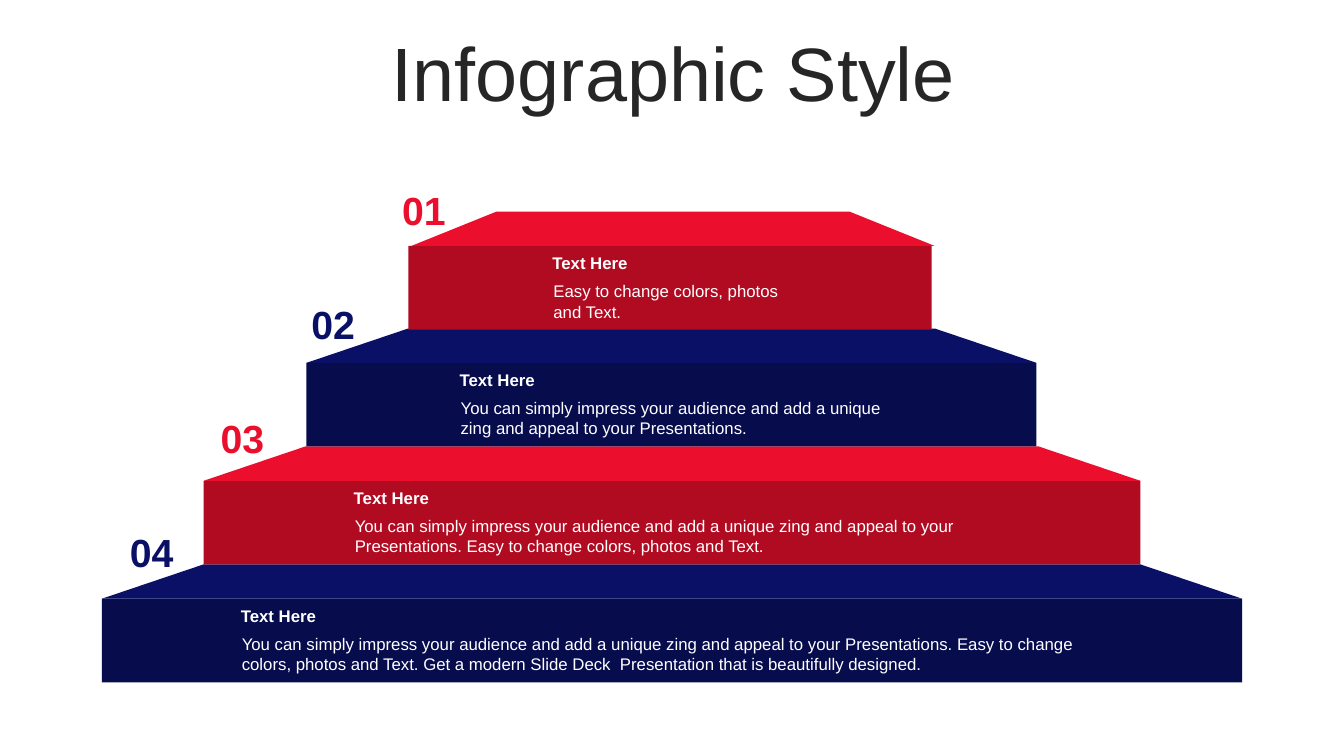
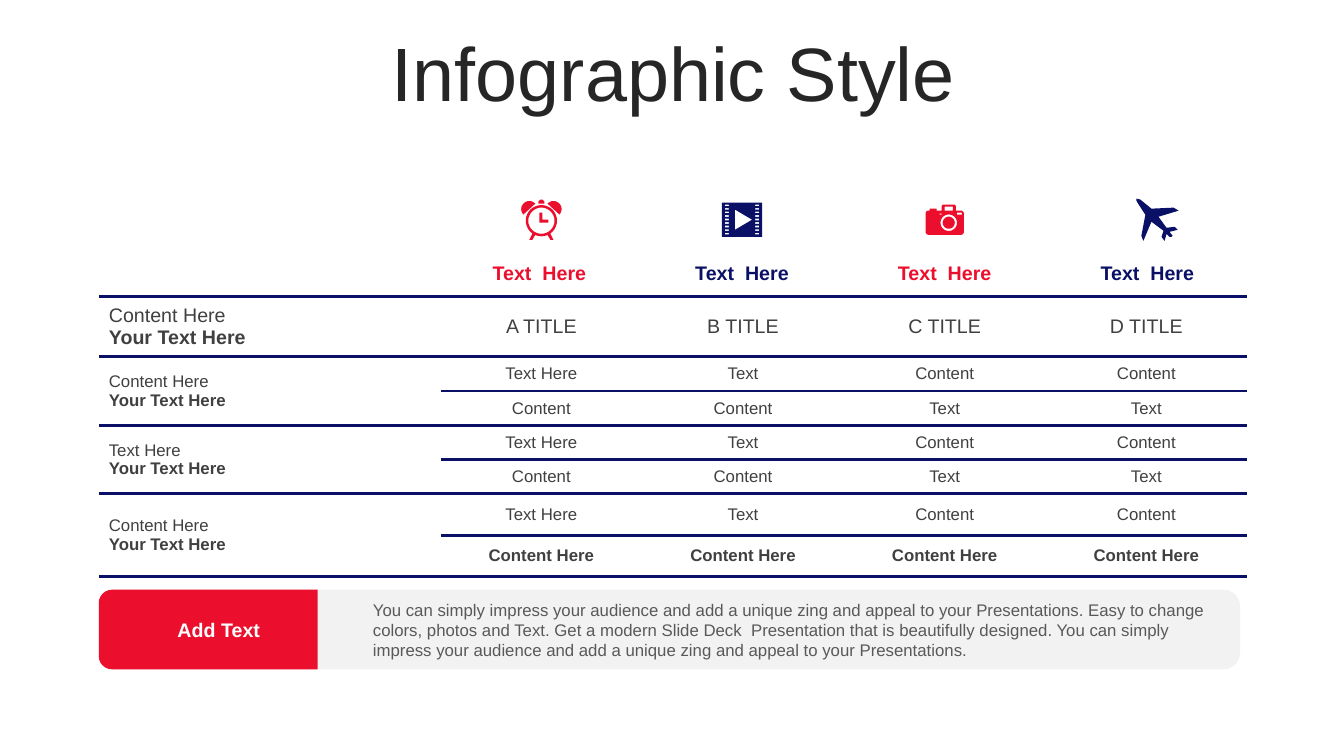
from dataclasses import dataclass
from math import cos, radians, sin

from lxml import etree
from pptx import Presentation
from pptx import util as u
from pptx.dml.color import RGBColor
from pptx.enum import shapes, text
from pptx.oxml import ns

PX = 9144
ICON_STEPS = 10
CENTER = text.PP_ALIGN.CENTER
LEFT = text.PP_ALIGN.LEFT
NO_GRID_STYLE = "{2D5ABB26-0587-4C30-8999-92F81FD0307C}"


@dataclass(frozen=True)
class Theme:
    """Colours, font and type sizes of the deck."""
    font: str = "Arial"
    red: str = "EC0F2D"
    dark_red: str = "B10B22"
    navy: str = "091066"
    dark_navy: str = "070C4D"
    white: str = "FFFFFF"
    panel: str = "F2F2F2"
    ink: str = "262626"
    cell: str = "404040"
    note: str = "595959"
    title: int = 54
    number: int = 28
    label: int = 14
    body: int = 12
    rule: float = 2.25


THEME = Theme()
IMPRESS = "You can simply impress your audience and add a unique zing and appeal to your Presentations."
EASY = "Easy to change colors, photos and Text."
MODERN = "Get a modern Slide Deck  Presentation that is beautifully designed."

TIERS = [
    (405, 519, 3, 2.48, 539, 268, EASY),
    (304, 724, 0, 2.96, 447, 448, IMPRESS),
    (202, 929, 0, 2.96, 342, 655, f"{IMPRESS} {EASY}"),
    (101, 1131, 0, 2.96, 230, 873, f"{IMPRESS} {EASY} {MODERN}"),
]

ROW_HEIGHTS = [60, 34, 34, 34, 34, 41, 41]
COLUMN_WIDTHS = [339, 200, 200, 200, 200]
UPPER = ["Text Here", "Text", "Content", "Content"]
LOWER = ["Content", "Content", "Text", "Text"]
ROWS = [
    ["Content Here", "A TITLE", "B TITLE", "C TITLE", "D TITLE"],
    ["Content Here", *UPPER],
    [None, *LOWER],
    ["Text Here", *UPPER],
    [None, *LOWER],
    ["Content Here", *UPPER],
    [None, *["Content Here"] * 4],
]


def emu(*lengths):
    """Turn px lengths into EMU."""
    return [u.Emu(round(length * PX)) for length in lengths]


def style(para, size, color, bold=False, align=LEFT):
    """Format every run of a paragraph."""
    para.alignment = align
    for span in para.runs:
        span.font.name = THEME.font
        span.font.size = u.Pt(size)
        span.font.bold = bold
        span.font.color.rgb = RGBColor.from_string(color)


def paint(shape, color):
    """Give a shape a flat fill without line or shadow."""
    shape.shadow.inherit = False
    shape.fill.solid()
    shape.fill.fore_color.rgb = RGBColor.from_string(color)
    shape.line.fill.background()
    return shape


def add_block(page, kind, box, color, adjust=None):
    """Draw a flat preset shape in a box."""
    shape = paint(page.shapes.add_shape(kind, *emu(*box)), color)
    if adjust is not None:
        shape.adjustments[0] = adjust
    return shape


def add_label(page, box, words, size, color, bold=False, align=LEFT):
    """Place a wrapped one-paragraph text box."""
    frame = page.shapes.add_textbox(*emu(*box)).text_frame
    frame.word_wrap = True
    frame.text = words
    style(frame.paragraphs[0], size, color, bold, align)


def add_page(deck, title):
    """Add a slide with the shared title."""
    page = deck.slides.add_slide(deck.slide_layouts.get_by_name("Title Only"))
    frame = page.shapes.title.text_frame
    frame.text = title
    frame.word_wrap = True
    frame.auto_size = text.MSO_AUTO_SIZE.NONE
    frame.vertical_anchor = text.MSO_ANCHOR.MIDDLE
    para = frame.paragraphs[0]
    para.line_spacing = 0.9
    style(para, THEME.title, THEME.ink, align=CENTER)
    return page


def rect(left, top, width, height):
    """Return the corners of a rectangle."""
    right, bottom = left + width, top + height
    return [(left, top), (right, top), (right, bottom), (left, bottom)]


def arc(x, y, radius, start=0, end=360):
    """Return points along a circular arc."""
    angles = [radians(start + (end - start) * step / 32) for step in range(33)]
    return [(x + radius * cos(angle), y + radius * sin(angle)) for angle in angles]


def clock_outline():
    """Return the contours of an alarm clock."""
    return [
        arc(20, 21, 15.5), arc(20, 21, 13),
        [(18, 13), (21, 13), (21, 20), (27, 20), (27, 23), (18, 23)],
        arc(8, 9.5, 8, -222, -42), arc(32, 9.5, 8, -138, 42),
        [(17, 4), (17, 2), (19, 0), (21, 0), (23, 2), (23, 4)],
        [(8, 40), (11, 40), (14, 35), (11, 34)],
        [(32, 40), (29, 40), (26, 35), (29, 34)],
    ]


def film_outline():
    """Return the contours of a film frame with a play mark."""
    holes = [rect(x, 2 + 3.5 * row, 4, 1.6) for row in range(9) for x in (3, 33)]
    return [rect(0, 0, 40, 34), [(13, 7), (13, 27), (30, 17)], *holes]


def camera_outline():
    """Return the contours of a camera."""
    body = [
        *arc(3, 9, 3, 180, 270), (4, 6), (4, 4), (11, 4), (11, 6), (16, 6),
        *arc(18, 2, 2, 180, 270), *arc(28, 2, 2, 270, 360), (30, 6),
        *arc(35, 9, 3, 270, 360), *arc(35, 27, 3, 0, 90), *arc(3, 27, 3, 90, 180),
    ]
    return [
        body, rect(19, 2, 8, 4), rect(14, 9, 2, 1), rect(31, 8, 5, 2),
        arc(23, 18, 8.2), arc(23, 18, 6),
    ]


def plane_outline():
    """Return the contour of an airplane."""
    return [[
        (41, 31), (33, 33), (36, 37), (35, 38), (33, 38), (30, 35), (28, 42),
        (25, 38), (27, 32), (15, 23), (7, 42), (5, 37), (9, 16), (3, 7), (0, 2),
        (0, 0), (4, 1), (15, 10), (37, 9), (42, 12), (22, 18), (30, 29), (38, 28),
    ]]


def add_icon(page, left, top, contours, color):
    """Draw contours as one freeform, inner ones cut out."""
    grid = [[(x * ICON_STEPS, y * ICON_STEPS) for x, y in points] for points in contours]
    builder = page.shapes.build_freeform(*grid[0][0], scale=PX / ICON_STEPS)
    builder.add_line_segments(grid[0][1:], close=True)
    for points in grid[1:]:
        builder.move_to(*points[0])
        builder.add_line_segments(points[1:], close=True)
    paint(builder.convert_to_shape(*emu(left, top)), color)


def draw_step(page, box, lid_shift, slope, front, lid):
    """Draw one pyramid step: a front face under a slanted lid."""
    left, top, width, height = box
    add_block(page, shapes.MSO_SHAPE.RECTANGLE, (left, top + 34, width, height - 34), front)
    add_block(page, shapes.MSO_SHAPE.TRAPEZOID, (left + lid_shift, top, width, 34), lid, slope)


def draw_step_text(page, box, words):
    """Place the heading and body of a step."""
    left, top, width, height = box
    add_label(page, (left - 1, top, width, 30), "Text Here", THEME.body, THEME.white, True)
    add_label(page, (left, top + 28, width, height - 28), words, THEME.body, THEME.white)


def draw_pyramid(page, top):
    """Stack the steps from the base up, then number them."""
    for index, tier in reversed(list(enumerate(TIERS))):
        left, width, shift, slope, text_left, text_width, words = tier
        step_top = top + 350 * index // 3
        odd = index % 2
        front = THEME.dark_navy if odd else THEME.dark_red
        lid = THEME.navy if odd else THEME.red
        draw_step(page, (left, step_top, width, 117), shift, slope, front, lid)
        draw_step_text(page, (text_left, step_top + 36, text_width, 78), words)
        number_box = (384 - 90 * index, top - 30 + 113 * index, 73, 57)
        add_label(page, number_box, f"{index + 1:02}", THEME.number, lid, True, CENTER)


def rule_cell(cell, edges):
    """Draw horizontal rules on the named edges of a cell."""
    props = cell._tc.get_or_add_tcPr()
    for edge in edges:
        line = etree.SubElement(props, ns.qn(f"a:{edge}"), w=str(u.Pt(THEME.rule)))
        fill = etree.SubElement(line, ns.qn("a:solidFill"))
        etree.SubElement(fill, ns.qn("a:srgbClr"), val=THEME.navy)
    cell.fill.background()


def fill_cell(cell, row, column, words):
    """Write one table cell; the first column gets a bold second line."""
    size = THEME.body if row else THEME.label
    cell.vertical_anchor = text.MSO_ANCHOR.MIDDLE
    cell.text = words if column else f"{words}\nYour Text Here"
    for line, para in enumerate(cell.text_frame.paragraphs):
        bold = line == 1 or (column > 0 and row == len(ROWS) - 1)
        style(para, size, THEME.cell, bold, CENTER if column else LEFT)


def draw_table(page, left, top):
    """Build the ruled table with paired rows."""
    box = emu(left, top, sum(COLUMN_WIDTHS), sum(ROW_HEIGHTS))
    table = page.shapes.add_table(len(ROWS), len(COLUMN_WIDTHS), *box).table
    table.first_row = table.horz_banding = False
    table._tbl.tblPr.find(ns.qn("a:tableStyleId")).text = NO_GRID_STYLE
    for column, width in zip(table.columns, emu(*COLUMN_WIDTHS)):
        column.width = width
    for row, height in zip(table.rows, emu(*ROW_HEIGHTS)):
        row.height = height
    for row, values in enumerate(ROWS):
        for column, words in enumerate(values):
            cell = table.cell(row, column)
            if words is None:
                table.cell(row - 1, column).merge(cell)
                rule_cell(cell, ["lnB"])
                continue
            rule_cell(cell, ["lnT", "lnB"])
            fill_cell(cell, row, column, words)


def draw_headers(page, left, top):
    """Place an icon and a label over each value column."""
    icons = [(52, 1, clock_outline), (50, 4, film_outline),
             (51, 6, camera_outline), (59, 0, plane_outline)]
    for index, (icon_left, icon_top, outline) in enumerate(icons):
        color = THEME.navy if index % 2 else THEME.red
        column_left = left + 201 * index
        add_icon(page, column_left + icon_left, top + icon_top, outline(), color)
        label_box = (column_left, top + 57, 140, 34)
        add_label(page, label_box, "Text  Here", THEME.label, color, True, CENTER)


def draw_callout(page, box):
    """Draw the grey note bar with its red tab."""
    left, top, width, height = box
    add_block(page, shapes.MSO_SHAPE.ROUNDED_RECTANGLE, box, THEME.panel, 0.21)
    tab = 217
    shift = (tab - height) // 2
    upright = (left + shift, top - shift, height, tab)
    add_block(page, shapes.MSO_SHAPE.ROUND_2_SAME_RECTANGLE, upright, THEME.red).rotation = 270
    add_label(page, (left + 45, top + 23, 148, 34), "Add Text", THEME.label, THEME.white, True, CENTER)
    add_label(page, (left + 262, top + 5, 848, 71), f"{IMPRESS} {EASY} {MODERN} {IMPRESS}",
              THEME.body, THEME.note)


def main():
    """Build and save the deck."""
    deck = Presentation()
    deck.slide_width, deck.slide_height = emu(1333, 750)
    title = deck.slide_layouts.get_by_name("Title Only").placeholders[0]
    title.left, title.top, title.width, title.height = emu(35, 37, 1266, 79)
    draw_pyramid(add_page(deck, "Infographic Style"), 210)
    page = add_page(deck, "Infographic Style")
    draw_table(page, 98, 294)
    draw_headers(page, 465, 197)
    draw_callout(page, (98, 585, 1132, 79))
    deck.save("out.pptx")


if __name__ == "__main__":
    main()
